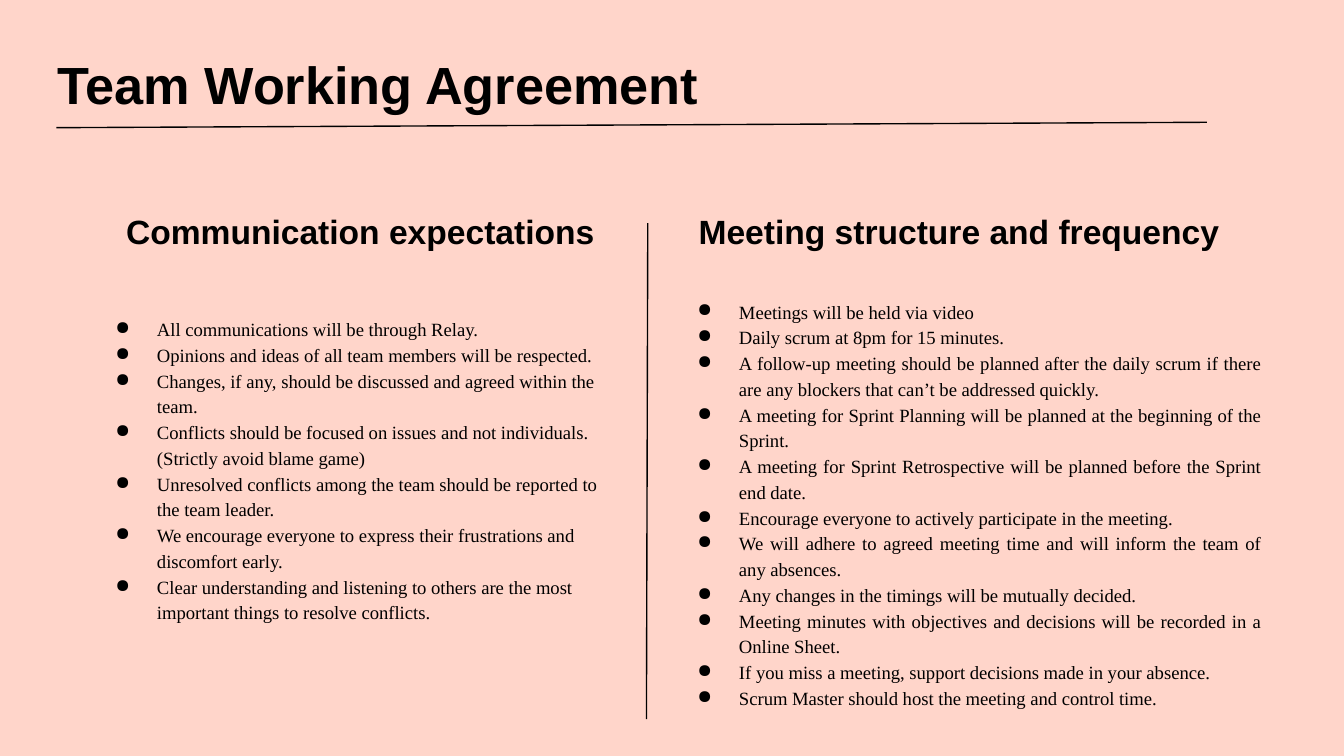
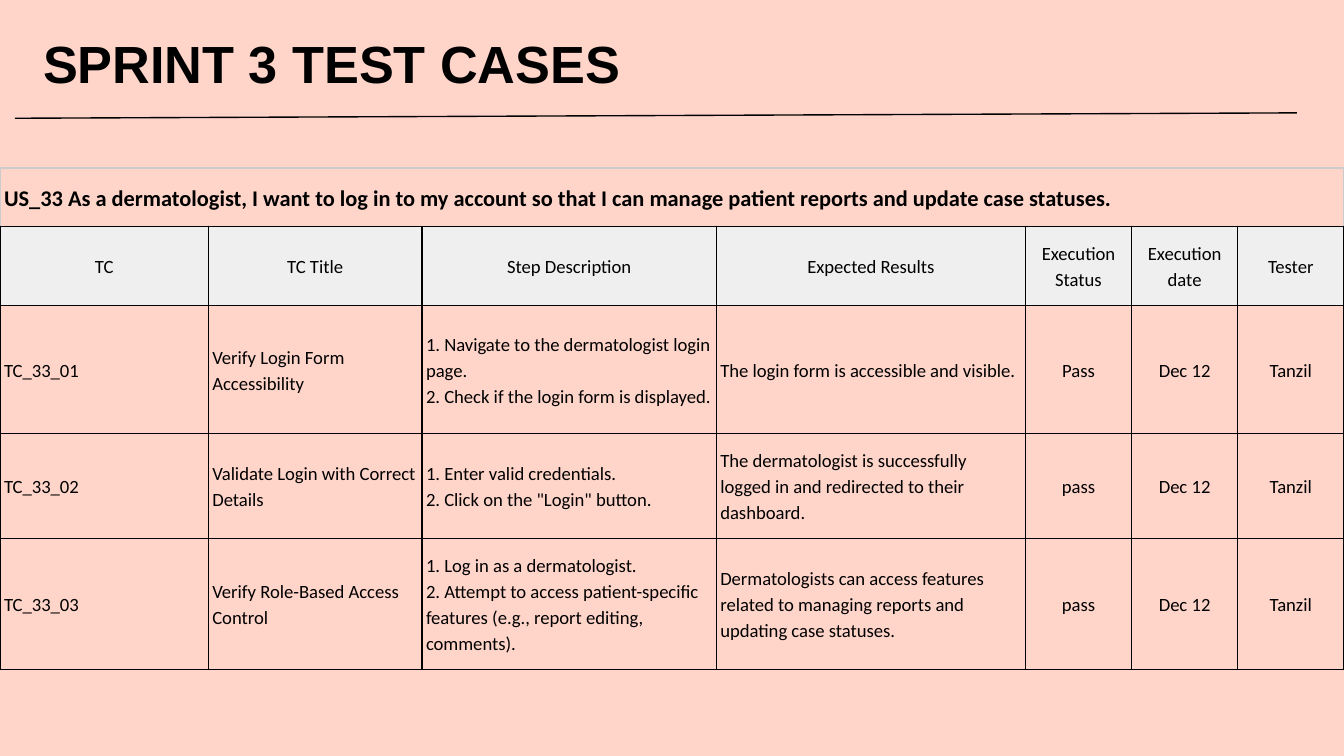
import dataclasses

import lxml.etree
import pptx
import pptx.dml.color
import pptx.enum.shapes
import pptx.enum.text
import pptx.oxml.ns
import pptx.util

COLS, ROWS = 100, 56.25
CELL = pptx.util.Inches(0.1)
ALIGN = pptx.enum.text.PP_ALIGN
ANCHOR = pptx.enum.text.MSO_ANCHOR


@dataclasses.dataclass(frozen=True)
class Theme:
    background: str = "FFD5CA"
    ink: str = "000000"
    header_fill: str = "EFEFEF"
    soft_border: str = "CCCCCC"
    heading_font: str = "Arial"
    list_font: str = "Times New Roman"
    table_font: str = "Calibri"
    title_size: int = 28
    heading_size: int = 18
    story_size: int = 12
    body_size: int = 10
    line_width: float = 0.75
    spacing: float = 1.15


THEME = Theme()

COMMUNICATION = [
    "All communications will be through Relay.",
    "Opinions and ideas of all team members will be respected.",
    "Changes, if any, should be discussed and agreed within the team.",
    "Conflicts should be focused on issues and not individuals. (Strictly avoid blame game)",
    "Unresolved conflicts among the team should be reported to the team leader.",
    "We encourage everyone to express their frustrations and discomfort early.",
    "Clear understanding and listening to others are the most important things to resolve conflicts.",
]
MEETINGS = [
    "Meetings will be held via video",
    "Daily scrum at 8pm for 15 minutes.",
    "A follow-up meeting should be planned after the daily scrum if there are any blockers that can’t be addressed quickly.",
    "A meeting for Sprint Planning will be planned at the beginning of the Sprint.",
    "A meeting for Sprint Retrospective will be planned before the Sprint end date.",
    "Encourage everyone to actively participate in the meeting.",
    "We will adhere to agreed meeting time and will inform the team of any absences.",
    "Any changes in the timings will be mutually decided.",
    "Meeting minutes with objectives and decisions will be recorded in a Online Sheet.",
    "If you miss a meeting, support decisions made in your absence.",
    "Scrum Master should host the meeting and control time.",
]
STORY = (
    "US_33 As a dermatologist, I want to log in to my account so that I can "
    "manage patient reports and update case statuses."
)
HEADERS = ["TC", "TC Title", "Step Description", "Expected Results",
           "Execution Status", "Execution date", "Tester"]
TEST_CASES = [
    ["TC_33_01", "Verify Login Form Accessibility",
     "1. Navigate to the dermatologist login page.\n2. Check if the login form is displayed.",
     "The login form is accessible and visible.", "Pass"],
    ["TC_33_02", "Validate Login with Correct Details",
     "1. Enter valid credentials.\n2. Click on the \"Login\" button.",
     "The dermatologist is successfully logged in and redirected to their dashboard.", "pass"],
    ["TC_33_03", "Verify Role-Based Access Control",
     "1. Log in as a dermatologist.\n2. Attempt to access patient-specific features "
     "(e.g., report editing, comments).",
     "Dermatologists can access features related to managing reports and updating case statuses.",
     "pass"],
]
RUN_INFO = ["Dec 12", "Tanzil"]
FIRST_CENTRED_COL = 4


def grid(*units):
    return [round(u * CELL) for u in units]


def rgb(value):
    return pptx.dml.color.RGBColor.from_string(value)


def sub(parent, tag, **attrs):
    return lxml.etree.SubElement(parent, pptx.oxml.ns.qn(tag), attrs)


def add_bullet(p):
    pPr = p._p.get_or_add_pPr()
    left, hang = grid(5, 3.1)
    pPr.set("marL", str(left))
    pPr.set("indent", str(-hang))
    sub(sub(pPr, "a:buClr"), "a:srgbClr", val=THEME.ink)
    sub(pPr, "a:buChar", char="●")


def write(tf, lines, font, size, bold=False, align=ALIGN.LEFT, spacing=None, bullets=False):
    for i, line in enumerate(lines):
        p = tf.add_paragraph() if i else tf.paragraphs[0]
        p.alignment = align
        if spacing:
            p.line_spacing = spacing
        if bullets:
            add_bullet(p)
        r = p.add_run()
        r.text = line
        r.font.name, r.font.size, r.font.bold = font, pptx.util.Pt(size), bold
        r.font.color.rgb = rgb(THEME.ink)


def set_frame(tf, anchor):
    tf.word_wrap = True
    tf.auto_size = pptx.enum.text.MSO_AUTO_SIZE.NONE
    tf.vertical_anchor = anchor
    tf.margin_left = tf.margin_top = tf.margin_right = tf.margin_bottom = CELL


def add_text(s, box, anchor):
    tf = s.shapes.add_textbox(*grid(*box)).text_frame
    set_frame(tf, anchor)
    return tf


def add_heading(s, box, text):
    write(add_text(s, box, ANCHOR.BOTTOM), [text], THEME.heading_font, THEME.heading_size, True)


def add_list(s, box, items, align):
    write(add_text(s, box, ANCHOR.TOP), items, THEME.list_font, THEME.body_size,
          align=align, spacing=THEME.spacing, bullets=True)


def add_line(s, start, end):
    line = s.shapes.add_connector(
        pptx.enum.shapes.MSO_CONNECTOR.STRAIGHT, *grid(*start, *end))
    line.line.color.rgb = rgb(THEME.ink)
    line.line.width = pptx.util.Pt(THEME.line_width)
    sub(line._element.spPr, "a:effectLst")


def add_titled_slide(prs, title, box, rule_start, rule_end):
    s = prs.slides.add_slide(prs.slide_layouts[5])
    sp = s.shapes.title
    sp.left, sp.top, sp.width, sp.height = grid(*box)
    set_frame(sp.text_frame, ANCHOR.TOP)
    write(sp.text_frame, [title], THEME.heading_font, THEME.title_size, True)
    add_line(s, rule_start, rule_end)
    return s


def set_borders(cell, colors):
    tcPr = cell._tc.get_or_add_tcPr()
    for side, color in zip("LRTB", colors):
        ln = sub(tcPr, f"a:ln{side}", w=str(pptx.util.Pt(THEME.line_width)))
        sub(sub(ln, "a:solidFill"), "a:srgbClr", val=color)


def format_cell(cell, borders, fill=None):
    set_borders(cell, borders)
    if fill:
        cell.fill.solid()
        cell.fill.fore_color.rgb = rgb(fill)
    else:
        cell.fill.background()
    cell.vertical_anchor = ANCHOR.MIDDLE
    cell.margin_left = cell.margin_right = round(0.3 * CELL)
    cell.margin_top = cell.margin_bottom = CELL


def add_test_table(s, top, widths, heights):
    rows = [HEADERS] + [case + RUN_INFO for case in TEST_CASES]
    table = s.shapes.add_table(
        len(heights), len(widths), *grid(0, top, COLS, sum(heights))).table
    table.first_row = table.horz_banding = False
    for column, width in zip(table.columns, grid(*widths)):
        column.width = width
    for row, height in zip(table.rows, grid(*heights)):
        row.height = height

    for cell in table.rows[0].cells:
        format_cell(cell, [THEME.soft_border] * 3 + [THEME.ink])
    story = table.cell(0, 0)
    story.merge(table.cell(0, len(widths) - 1))
    write(story.text_frame, [STORY], THEME.table_font, THEME.story_size, True,
          spacing=THEME.spacing)

    for i, texts in enumerate(rows, start=1):
        is_header = i == 1
        for j, text in enumerate(texts):
            cell = table.cell(i, j)
            format_cell(cell, [THEME.ink] * 4, THEME.header_fill if is_header else None)
            centred = is_header or j >= FIRST_CENTRED_COL
            write(cell.text_frame, text.split("\n"), THEME.table_font, THEME.body_size,
                  align=ALIGN.CENTER if centred else ALIGN.LEFT, spacing=THEME.spacing)


def build_agreement(prs):
    s = add_titled_slide(prs, "Team Working Agreement", (3.3, 2.9, 87.5, 6.3),
                         (4.2, 9.5), (89.8, 9.1))
    add_heading(s, (8.4, 13.9, 38.9, 5.8), "Communication expectations")
    add_list(s, (5.7, 22.4, 41.7, 20.9), COMMUNICATION, ALIGN.LEFT)
    add_heading(s, (51, 13.9, 42, 5.8), "Meeting structure and frequency")
    add_list(s, (49, 21.1, 45.8, 20.9), MEETINGS, ALIGN.JUSTIFY)
    add_line(s, (48.1, 53.5), (48.2, 16.6))


def build_test_cases(prs):
    s = add_titled_slide(prs, "SPRINT 3 TEST CASES", (2.2, 1.3, 84.3, 6.3),
                         (1.1, 8.8), (96.5, 8.4))
    add_test_table(s, 12.5, [15.5, 15.9, 21.9, 23] + [7.9] * 3, [4.3, 5.9, 9.5, 7.8, 9.7])


def main():
    prs = pptx.Presentation()
    prs.slide_width, prs.slide_height = grid(COLS, ROWS)
    fill = prs.slide_master.background.fill
    fill.solid()
    fill.fore_color.rgb = rgb(THEME.background)
    build_agreement(prs)
    build_test_cases(prs)
    prs.save("out.pptx")


if __name__ == "__main__":
    main()
